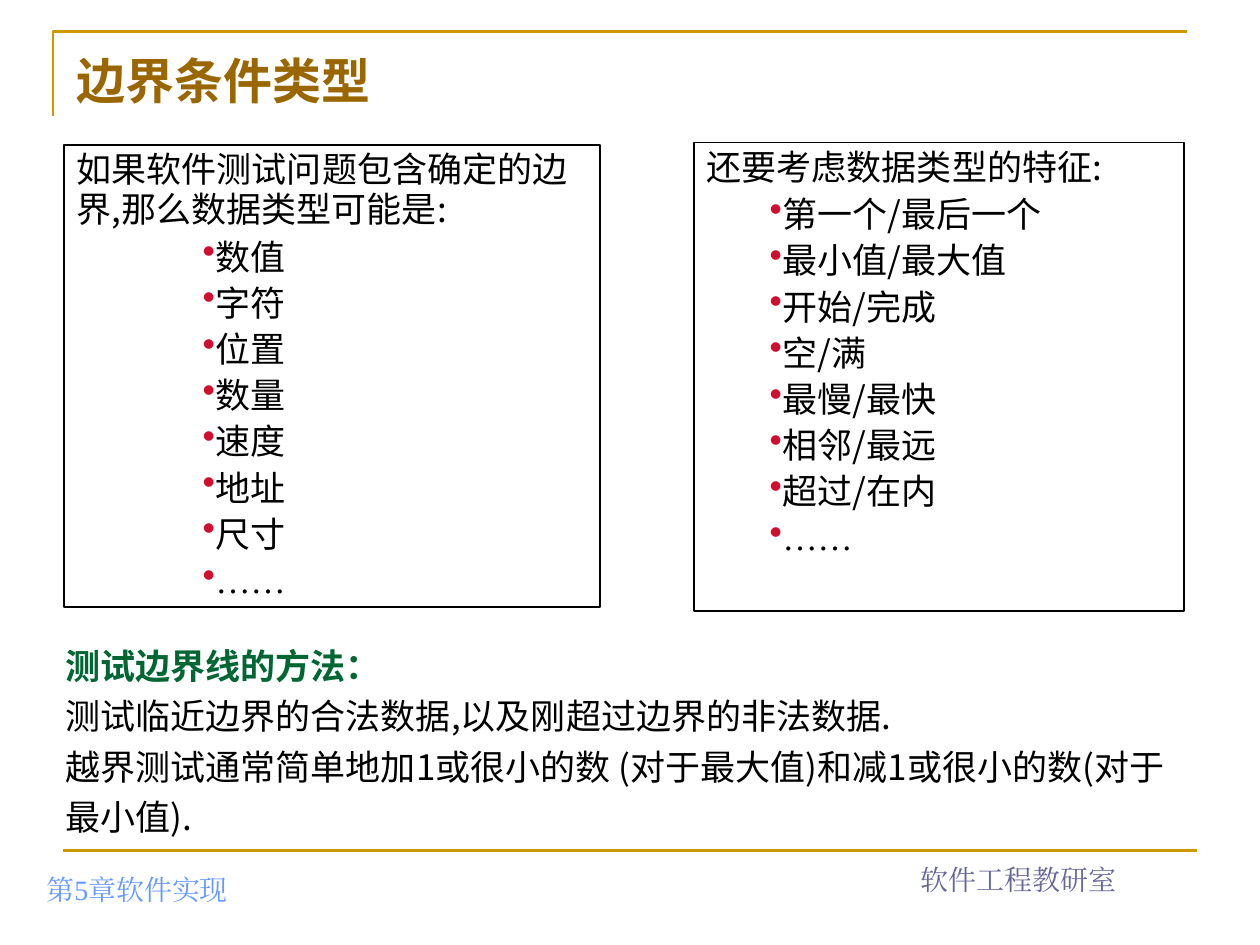
from dataclasses import dataclass

from lxml import etree
from pptx import Presentation
from pptx.dml.color import RGBColor
from pptx.enum.shapes import MSO_CONNECTOR, MSO_SHAPE
from pptx.enum.text import MSO_ANCHOR, PP_ALIGN
from pptx.oxml.ns import qn
from pptx.util import Inches, Pt

SANS = "Noto Sans CJK SC"
SERIF = "Times New Roman"
GOLD = RGBColor(0xCC, 0x99, 0x00)
BROWN = RGBColor(0x99, 0x66, 0x00)
GREEN = RGBColor(0x00, 0x66, 0x33)
BLACK = RGBColor(0x00, 0x00, 0x00)
SKY = RGBColor(0x66, 0x99, 0xFF)
SLATE = RGBColor(0x66, 0x66, 0x99)
CRIMSON = RGBColor(0xCF, 0x0E, 0x30)
TOP, BOTTOM = MSO_ANCHOR.TOP, MSO_ANCHOR.BOTTOM
LEFT, CENTER = PP_ALIGN.LEFT, PP_ALIGN.CENTER
RECTANGLE, STRAIGHT = MSO_SHAPE.RECTANGLE, MSO_CONNECTOR.STRAIGHT
ELLIPSIS = "……"


@dataclass(frozen=True)
class Area:
    left: float
    top: float
    width: float
    height: float

    def lengths(self) -> tuple:
        return tuple(map(Inches, (self.left, self.top, self.width, self.height)))


@dataclass(frozen=True)
class Line:
    text: str
    color: RGBColor = BLACK
    size: int = 20
    font: str = SANS
    bold: bool = False
    spacing: float = 1.0
    align: PP_ALIGN = LEFT
    level: int = 0


@dataclass(frozen=True)
class Panel:
    area: Area
    heading: str
    items: tuple[str, ...]
    level: int


PANELS = (
    Panel(Area(0.51, 1.15, 4.25, 3.67), "如果软件测试问题包含确定的边界,那么数据类型可能是:",
          ("数值", "字符", "位置", "数量", "速度", "地址", "尺寸", ELLIPSIS), 2),
    Panel(Area(5.51, 1.13, 3.89, 3.72), "还要考虑数据类型的特征:",
          ("第一个/最后一个", "最小值/最大值", "开始/完成", "空/满",
           "最慢/最快", "相邻/最远", "超过/在内", ELLIPSIS), 1),
)
METHOD = (
    Line("测试边界线的方法：", GREEN, bold=True, spacing=1.2),
    Line("测试临近边界的合法数据,以及刚超过边界的非法数据.", spacing=1.2),
    Line("越界测试通常简单地加1或很小的数 (对于最大值)和减1或很小的数(对于最小值).", spacing=1.2),
)


def add_bullet(paragraph, level: int) -> None:
    paragraph.level = level
    properties = paragraph._p.get_or_add_pPr()
    properties.set("marL", str(Inches(0.5 * level)))
    properties.set("indent", "0")
    bullet_color = etree.SubElement(properties, qn("a:buClr"))
    etree.SubElement(bullet_color, qn("a:srgbClr"), val=str(CRIMSON))
    etree.SubElement(properties, qn("a:buSzPct"), val="105000")
    etree.SubElement(properties, qn("a:buChar"), char="•")


def write_lines(frame, lines: tuple[Line, ...], anchor: MSO_ANCHOR = TOP) -> None:
    frame.word_wrap = True
    frame.vertical_anchor = anchor
    frame.text = "\n".join(line.text for line in lines)
    for paragraph, line in zip(frame.paragraphs, lines):
        if line.level:
            add_bullet(paragraph, line.level)
        paragraph.alignment = line.align
        paragraph.line_spacing = line.spacing
        for run in paragraph.runs:
            run.font.size = Pt(line.size)
            run.font.bold = line.bold
            run.font.color.rgb = line.color
            run.font.name = line.font
            etree.SubElement(run._r.get_or_add_rPr(), qn("a:ea"), typeface=line.font)


def add_text(slide, area: Area, *lines: Line, anchor: MSO_ANCHOR = TOP) -> None:
    write_lines(slide.shapes.add_textbox(*area.lengths()).text_frame, lines, anchor)


def add_panel(slide, panel: Panel) -> None:
    frame_box = slide.shapes.add_shape(RECTANGLE, *panel.area.lengths())
    frame_box.shadow.inherit = False
    frame_box.fill.background()
    frame_box.line.color.rgb = BLACK
    frame_box.line.width = Pt(1)
    items = tuple(
        Line(item, font=SERIF if item == ELLIPSIS else SANS, spacing=1.1, level=panel.level)
        for item in panel.items
    )
    write_lines(frame_box.text_frame, (Line(panel.heading, spacing=0.95), *items))


def add_rules(slide) -> None:
    builder = slide.shapes.build_freeform(Inches(0.42), Inches(0.92))
    builder.add_line_segments(
        [(Inches(0.42), Inches(0.25)), (Inches(9.42), Inches(0.25))], close=False
    )
    title_rule = builder.convert_to_shape()
    title_rule.shadow.inherit = False
    title_rule.fill.background()
    footer_rule = slide.shapes.add_connector(
        STRAIGHT, Inches(0.5), Inches(6.75), Inches(9.5), Inches(6.75)
    )
    etree.SubElement(footer_rule._element.spPr, qn("a:effectLst"))
    for rule in (title_rule, footer_rule):
        rule.line.color.rgb = GOLD
        rule.line.width = Pt(1.5)


def main() -> None:
    deck = Presentation()
    deck.slide_width, deck.slide_height = Inches(10), Inches(7.5)
    slide = deck.slides.add_slide(deck.slide_layouts[6])
    add_rules(slide)
    add_text(slide, Area(0.27, 6.74, 3.15, 0.5),
             Line("第5章软件实现", SKY, 16, SERIF), anchor=BOTTOM)
    add_text(slide, Area(6.5, 6.66, 3.17, 0.5),
             Line("软件工程教研室", SLATE, 16, SERIF, align=CENTER), anchor=BOTTOM)
    add_text(slide, Area(0.51, 0.35, 8.98, 0.7), Line("边界条件类型", BROWN, 28, bold=True))
    for panel in PANELS:
        add_panel(slide, panel)
    add_text(slide, Area(0.42, 5, 9.19, 1.7), *METHOD)
    deck.save("out.pptx")


if __name__ == "__main__":
    main()
